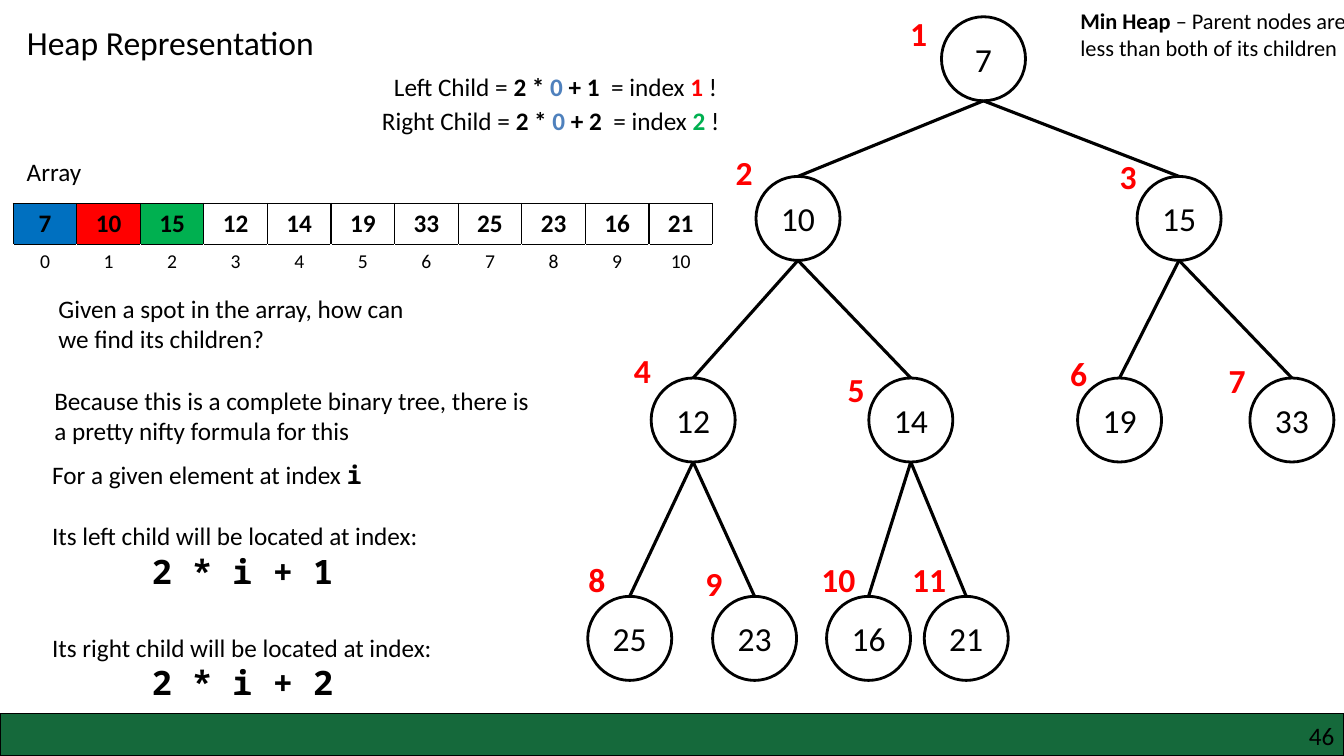
from pptx import Presentation
from pptx.dml.color import RGBColor
from pptx.enum.shapes import MSO_CONNECTOR, MSO_SHAPE
from pptx.enum.text import MSO_ANCHOR, PP_ALIGN
from pptx.oxml import parse_xml
from pptx.oxml.ns import nsdecls
from pptx.util import Pt

BLACK, WHITE, RED, GREEN, BLUE = "000000", "FFFFFF", "FF0000", "00B050", "4F81BD"
MONO = "Noto Sans Mono"


def rgb(code):
    return RGBColor.from_string(code)


def write(p, text, size=18, bold=False, color=BLACK, font="Calibri"):
    r = p.add_run()
    r.text = text
    r.font.size, r.font.bold, r.font.name = Pt(size), bold, font
    r.font.color.rgb = rgb(color)


prs = Presentation()
prs.slide_width, prs.slide_height = Pt(960), Pt(540)
s = prs.slides.add_slide(prs.slide_layouts[5])

# Footer bar
sp = s.shapes.add_shape(MSO_SHAPE.RECTANGLE, 0, Pt(509.8), Pt(960), Pt(30.2))
sp.shadow.inherit = False
sp.fill.solid()
sp.fill.fore_color.rgb = rgb("15693B")
sp.line.color.rgb = rgb(BLACK)
sp.line.width = Pt(1)

# Title
title = s.shapes.title
title.left, title.top, title.width, title.height = Pt(12), Pt(12), Pt(244), Pt(36)
title.text_frame.vertical_anchor = MSO_ANCHOR.TOP
p = title.text_frame.paragraphs[0]
p.alignment = PP_ALIGN.LEFT
write(p, "Heap Representation", 24)

# Heap nodes, in array order: value, left edge, position of the red number
nodes = [
    (7, 672.5, 643, 5.8),
    (10, 540, 518.4, 105.1),
    (15, 812.2, 792.7, 108),
    (12, 465.1, 445.7, 246.2),
    (14, 620.6, 598.3, 259.9),
    (19, 769.7, 757.4, 248.4),
    (33, 892.8, 870.5, 253.4),
    (25, 419.8, 413.3, 396),
    (23, 509, 496.8, 398.2),
    (16, 590.4, 579.6, 396),
    (21, 660.2, 644.4, 396),
]
level_tops = [12, 126, 270, 426]
diameter = 60
circles = []
for i, (value, x, _, _) in enumerate(nodes):
    y = level_tops[(i + 1).bit_length() - 1]
    sp = s.shapes.add_shape(MSO_SHAPE.OVAL, Pt(x), Pt(y), Pt(diameter), Pt(diameter))
    sp.shadow.inherit = False
    sp.fill.solid()
    sp.fill.fore_color.rgb = rgb(WHITE)
    sp.line.color.rgb = rgb(BLACK)
    sp.line.width = Pt(2)
    tf = sp.text_frame
    tf.margin_left = tf.margin_right = 0
    tf.vertical_anchor = MSO_ANCHOR.MIDDLE
    p = tf.paragraphs[0]
    p.alignment = PP_ALIGN.CENTER
    write(p, str(value), 24)
    circles.append(sp)

# Edges: the parent of node i is (i - 1) // 2
for i, child in enumerate(circles[1:], start=1):
    parent = circles[(i - 1) // 2]
    edge = s.shapes.add_connector(
        MSO_CONNECTOR.STRAIGHT,
        parent.left + parent.width // 2, parent.top + parent.height,
        child.left + child.width // 2, child.top)
    edge.end_connect(child, 0)
    edge.line.color.rgb = rgb(BLACK)
    edge.line.width = Pt(2.25)
    edge._element.spPr.append(parse_xml(f"<a:effectLst {nsdecls('a')}/>"))

# Array table: values over indexes
table = s.shapes.add_table(2, len(nodes), Pt(9.4), Pt(145.4), Pt(499.7), Pt(58.4)).table
table.first_row = table.horz_banding = False
fills = ["0070C0", RED, GREEN]
for i, (value, *_) in enumerate(nodes):
    table.columns[i].width = Pt(45.43)
    fill = fills[i] if i < len(fills) else WHITE
    rows = [(value, 18, True, fill, "LRTB"), (i, 14, False, WHITE, "T")]
    for row, (text, size, bold, fill, sides) in enumerate(rows):
        cell = table.cell(row, i)
        p = cell.text_frame.paragraphs[0]
        p.alignment = PP_ALIGN.CENTER
        write(p, str(text), size, bold)
        tcPr = cell._tc.get_or_add_tcPr()
        for side in sides:
            tcPr.append(parse_xml(
                f'<a:ln{side} {nsdecls("a")} w="12700"><a:solidFill>'
                f'<a:srgbClr val="{BLACK}"/></a:solidFill></a:ln{side}>'))
        cell.fill.solid()
        cell.fill.fore_color.rgb = rgb(fill)

# Text boxes: left, top, width, height, runs
texts = [
    (764.6, 1.4, 216, 65.5, [("Min Heap ", 16, True),
                             ("– Parent nodes are less than both of its children", 16)]),
    (12, 108, 58.3, 28.8, [("Array",)]),
    (34.6, 205.9, 279.4, 51.1, [("Given a spot in the array, how can we find its children?",)]),
    (31.7, 271.4, 365.8, 51.1, [("Because this is a complete binary tree, "
                                 "there is a pretty nifty formula for this",)]),
]
for x, y, side, step, color in [(274.3, 47.5, "Left", 1, RED), (265.7, 72, "Right", 2, GREEN)]:
    texts.append((x, y, 290, 28.8, [
        (f"{side} Child = ",), ("2 * ", 18, True), ("0", 18, True, BLUE),
        (f" + {step}  ", 18, True), ("= index ",), (str(step), 18, True, color), (" !",)]))
for i, (_, _, x, y) in enumerate(nodes, start=1):
    texts.append((x, y, 28 if i < 10 else 42, 36, [(str(i), 24, True, RED)]))
for x, y, w, h, runs in texts:
    tf = s.shapes.add_textbox(Pt(x), Pt(y), Pt(w), Pt(h)).text_frame
    tf.word_wrap = True
    for run in runs:
        write(tf.paragraphs[0], *run)

# Child index formulas
tf = s.shapes.add_textbox(Pt(30.2), Pt(324.7), Pt(286), Pt(211)).text_frame
tf.word_wrap = True
p = tf.paragraphs[0]
write(p, "For a given element at index ")
write(p, "i", bold=True, font=MONO)
for side, step, gap in [("left", 1, 22), ("right", 2, 29.3)]:
    p = tf.add_paragraph()
    p.space_before = Pt(gap)
    write(p, f"Its {side} child will be located at index:")
    p = tf.add_paragraph()
    p.alignment = PP_ALIGN.CENTER
    write(p, f"2 * i + {step}", 24, True, font=MONO)

# Slide number
tf = s.shapes.add_textbox(Pt(732.2), Pt(514.8), Pt(221), Pt(21.6)).text_frame
tf.margin_left = tf.margin_right = tf.margin_top = tf.margin_bottom = 0
tf.word_wrap = True
p = tf.paragraphs[0]
p.alignment = PP_ALIGN.RIGHT
write(p, "46")

prs.save("out.pptx")
